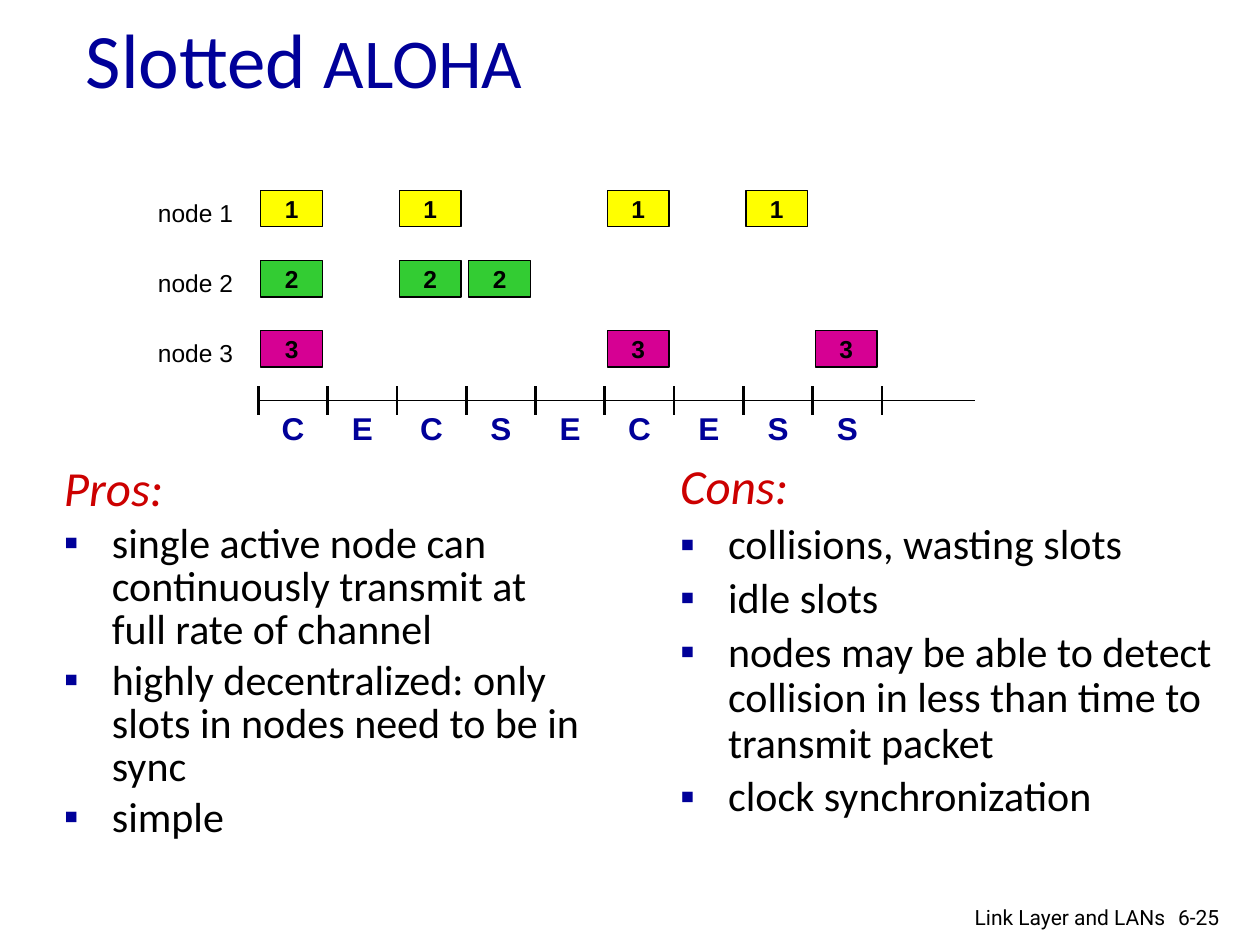
"""Build the Slotted ALOHA slide: slot timeline, pros and cons."""
from dataclasses import dataclass

from lxml.etree import SubElement
from pptx import Presentation
from pptx.dml.color import RGBColor
from pptx.enum.shapes import MSO_CONNECTOR, MSO_SHAPE
from pptx.enum.text import MSO_ANCHOR, MSO_AUTO_SIZE, PP_ALIGN
from pptx.oxml.ns import qn
from pptx.util import Inches, Pt


@dataclass(frozen=True)
class Theme:
    """Colours, fonts and type sizes of the slide."""
    navy: str = "000099"
    red: str = "CC0000"
    black: str = "000000"
    nodes: tuple = ("FFFF00", "33CC33", "D60093")
    body_font: str = "Calibri"
    diagram_font: str = "Arial"
    footer_font: str = "Roboto"
    title_size: int = 44
    acronym_size: int = 40
    heading_size: int = 28
    body_size: int = 24
    outcome_size: int = 18
    node_size: int = 14
    footer_size: int = 12


@dataclass(frozen=True)
class Box:
    """A rectangle on a grid of 100 columns by 75 rows."""
    left: float
    top: float
    width: float
    height: float

    def lengths(self):
        """Return the position and size as slide lengths."""
        return [grid(n) for n in (self.left, self.top, self.width, self.height)]


THEME = Theme()
COLUMNS, ROWS = 100, 75
SLOT_WIDTH = 5.5
NODE_SLOTS = ((0, 2, 5, 7), (0, 2, 3), (0, 5, 8))
OUTCOMES = "CECSECESS"
PROS = ("single active node can continuously transmit at full rate of channel",
        "highly decentralized: only slots in nodes need to be in sync",
        "simple")
CONS = ("collisions, wasting slots",
        "idle slots",
        "nodes may be able to detect collision in less than time to transmit packet",
        "clock synchronization")


def grid(count):
    """Turn a count of grid units into a length."""
    return Inches(count / 10)


def apply(target, values):
    """Set each attribute in values on target."""
    for name, value in values.items():
        setattr(target, name, value)


def add_run(paragraph, text, font, size, color, **styles):
    """Append formatted text to a paragraph."""
    run = paragraph.add_run()
    run.text = text
    apply(run.font, {"name": font, "size": Pt(size), **styles})
    run.font.color.rgb = RGBColor.from_string(color)


def add_label(slide, box, text, font, size, color, align, **styles):
    """Add one line of text, centred vertically in its box."""
    shape = slide.shapes.add_textbox(*box.lengths())
    fill_label(shape, text, font, size, color, align, **styles)


def fill_label(shape, text, font, size, color, align, **styles):
    """Write one unwrapped line into a shape without margins."""
    frame = shape.text_frame
    apply(frame, {"margin_left": 0, "margin_right": 0, "margin_top": 0,
                  "margin_bottom": 0, "word_wrap": False,
                  "vertical_anchor": MSO_ANCHOR.MIDDLE})
    frame.paragraphs[0].alignment = align
    add_run(frame.paragraphs[0], text, font, size, color, **styles)


def add_line(slide, start, end, width):
    """Draw a plain black line between two grid points."""
    line = slide.shapes.add_connector(
        MSO_CONNECTOR.STRAIGHT, *(grid(n) for n in (*start, *end)))
    line.line.color.rgb = RGBColor.from_string(THEME.black)
    line.line.width = Pt(width)
    SubElement(line._element.spPr, qn("a:effectLst"))


def place_title(slide, box):
    """Move and fill the title placeholder."""
    title = slide.shapes.title
    apply(title, dict(zip(("left", "top", "width", "height"), box.lengths())))
    apply(title.text_frame, {"vertical_anchor": MSO_ANCHOR.MIDDLE,
                             "auto_size": MSO_AUTO_SIZE.NONE, "word_wrap": True})
    paragraph = title.text_frame.paragraphs[0]
    paragraph.alignment = PP_ALIGN.LEFT
    for text, size in (("Slotted ", THEME.title_size), ("ALOHA", THEME.acronym_size)):
        add_run(paragraph, text, THEME.body_font, size, THEME.navy)


def place_node_row(slide, box, number, slots, color):
    """Draw a node's name and its frames in the slots where it sends."""
    name_box = Box(box.left - 9.5, box.top + 0.3, 7.5, box.height)
    add_label(slide, name_box, f"node {number}", THEME.diagram_font,
              THEME.node_size, THEME.black, PP_ALIGN.RIGHT)
    for slot in slots:
        frame_box = Box(box.left + slot * SLOT_WIDTH + 0.2, box.top, 4.9, box.height)
        frame = slide.shapes.add_shape(MSO_SHAPE.RECTANGLE, *frame_box.lengths())
        frame.shadow.inherit = False
        frame.fill.solid()
        frame.fill.fore_color.rgb = RGBColor.from_string(color)
        frame.line.color.rgb = RGBColor.from_string(THEME.black)
        frame.line.width = Pt(0.75)
        fill_label(frame, str(number), THEME.diagram_font, THEME.node_size,
                   THEME.black, PP_ALIGN.CENTER, bold=True)


def place_timeline(slide, box):
    """Draw the node rows above the slot axis and the outcomes below it."""
    row_pitch = box.height / len(NODE_SLOTS)
    for index, (slots, color) in enumerate(zip(NODE_SLOTS, THEME.nodes)):
        row = Box(box.left, box.top + index * row_pitch, box.width, 2.9)
        place_node_row(slide, row, index + 1, slots, color)
    axis = box.top + box.height
    add_line(slide, (box.left, axis), (box.left + box.width, axis), 0.75)
    for tick in range(len(OUTCOMES) + 1):
        x = box.left + tick * SLOT_WIDTH
        add_line(slide, (x, axis - 1.15), (x, axis + 1.15), 1.5)
    for slot, outcome in enumerate(OUTCOMES):
        outcome_box = Box(box.left + slot * SLOT_WIDTH, axis + 0.2, SLOT_WIDTH, 4)
        add_label(slide, outcome_box, outcome, THEME.diagram_font,
                  THEME.outcome_size, THEME.navy, PP_ALIGN.CENTER, bold=True)


def add_bullet(paragraph):
    """Give a paragraph a navy square bullet with a hanging indent."""
    properties = paragraph._p.get_or_add_pPr()
    properties.set("marL", str(Inches(0.38)))
    properties.set("indent", str(-Inches(0.38)))
    color = SubElement(properties, qn("a:buClr"))
    SubElement(color, qn("a:srgbClr"), val=THEME.navy)
    SubElement(properties, qn("a:buFont"), typeface=THEME.diagram_font)
    SubElement(properties, qn("a:buChar"), char="▪")


def place_list(slide, box, heading, items, line_spacing):
    """Write an italic heading followed by bulleted items."""
    frame = slide.shapes.add_textbox(*box.lengths()).text_frame
    frame.word_wrap = True
    spacing = {"line_spacing": line_spacing, "space_before": Pt(4.8)}
    paragraph = frame.paragraphs[0]
    apply(paragraph, spacing)
    add_run(paragraph, heading, THEME.body_font, THEME.heading_size,
            THEME.red, italic=True)
    for item in items:
        paragraph = frame.add_paragraph()
        apply(paragraph, spacing)
        add_bullet(paragraph)
        add_run(paragraph, item, THEME.body_font, THEME.body_size, THEME.black)


def place_footer(slide, box):
    """Write the chapter name and the page number side by side."""
    number_width = 5
    chapter = Box(box.left, box.top, box.width - number_width - 1, box.height)
    number = Box(box.left + box.width - number_width, box.top, number_width, box.height)
    for part, text, align in ((chapter, "Link Layer and LANs", PP_ALIGN.RIGHT),
                              (number, "6-25", PP_ALIGN.LEFT)):
        add_label(slide, part, text, THEME.footer_font, THEME.footer_size,
                  THEME.black, align)


def main():
    """Build and save the presentation."""
    presentation = Presentation()
    presentation.slide_width, presentation.slide_height = grid(COLUMNS), grid(ROWS)
    slide = presentation.slides.add_slide(presentation.slide_layouts[5])
    place_title(slide, Box(5.8, 1.2, 54.2, 6.7))
    place_timeline(slide, Box(20.5, 15.1, 56.9, 16.7))
    place_list(slide, Box(4.1, 36.5, 43.4, 35), "Pros:", PROS, 0.85)
    place_list(slide, Box(53, 36.2, 46.5, 35), "Cons:", CONS, 0.9)
    place_footer(slide, Box(70.5, 71.6, 28, 2.4))
    presentation.save("out.pptx")


if __name__ == "__main__":
    main()
